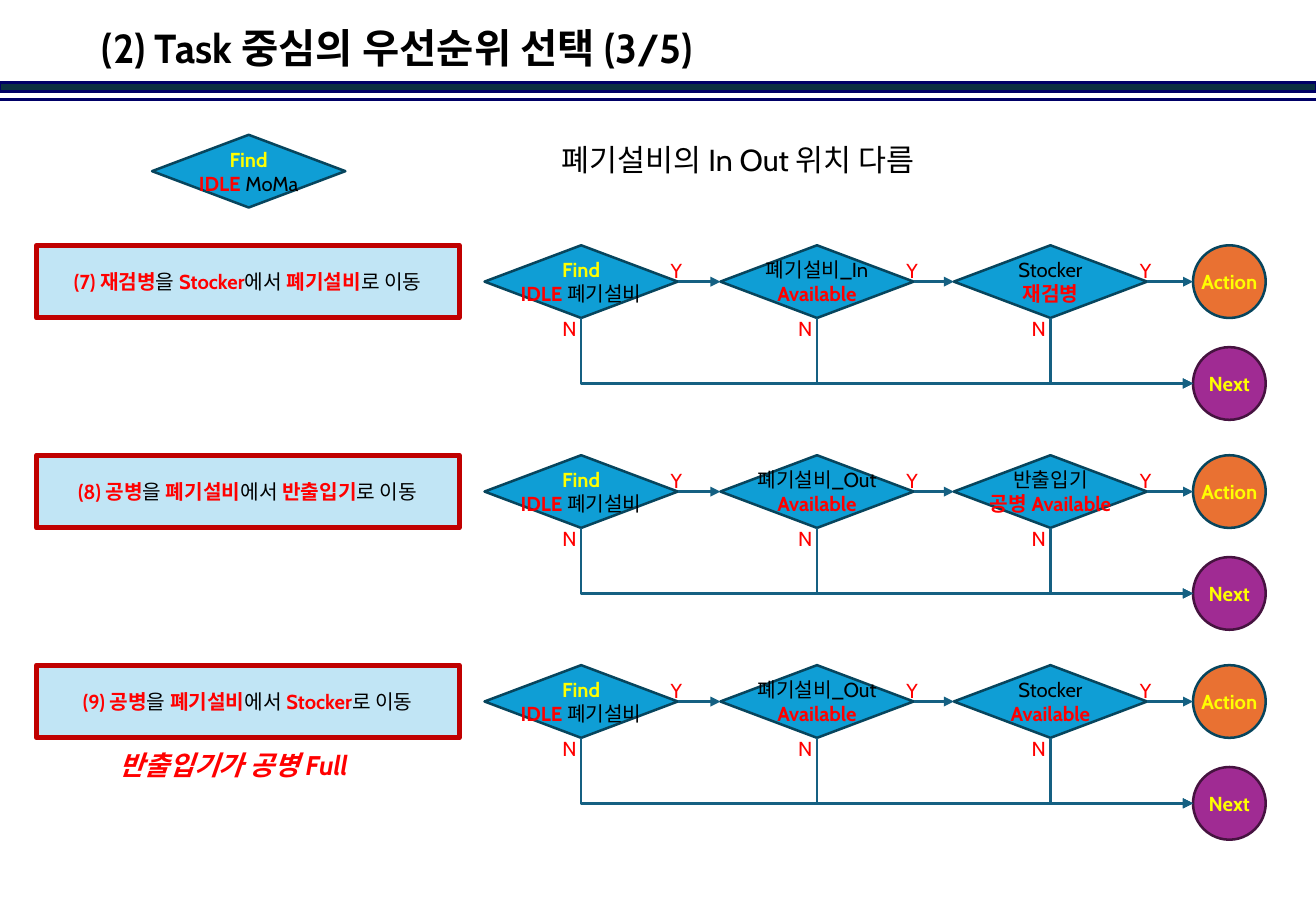
import pptx
import pptx.dml.color
import pptx.enum.shapes
import pptx.enum.text
import pptx.oxml
import pptx.oxml.ns
import pptx.util

Cm = pptx.util.Cm
Pt = pptx.util.Pt
RGBColor = pptx.dml.color.RGBColor
Shape = pptx.enum.shapes.MSO_SHAPE
Connector = pptx.enum.shapes.MSO_CONNECTOR
Anchor = pptx.enum.text.MSO_ANCHOR
Align = pptx.enum.text.PP_ALIGN

BLACK = RGBColor(0x00, 0x00, 0x00)
RED = RGBColor(0xFF, 0x00, 0x00)
YELLOW = RGBColor(0xFF, 0xFF, 0x00)
NAVY = RGBColor(0x00, 0x00, 0x66)
DARK_TEAL = RGBColor(0x0B, 0x30, 0x41)
BLUE = RGBColor(0x0F, 0x9E, 0xD5)
BLUE_EDGE = RGBColor(0x07, 0x45, 0x5D)
PALE_BLUE = RGBColor(0xC1, 0xE5, 0xF5)
DARK_RED = RGBColor(0xC0, 0x00, 0x00)
ORANGE = RGBColor(0xE9, 0x71, 0x32)
PURPLE = RGBColor(0xA0, 0x2B, 0x93)
PURPLE_EDGE = RGBColor(0x46, 0x13, 0x40)
FLOW = RGBColor(0x15, 0x60, 0x82)

SLIDE_W, SLIDE_H = 27.51, 19.05
ROW_TOP, ROW_PITCH = 5.13, 4.39
STEP_H, DIAMOND_W = 1.52, 4.04
DIAMOND_LEFTS = (10.13, 15.06, 19.94)
RESULT_LEFT, NEXT_DROP = 24.94, 2.13
ELLIPSE_LEFT_SITE = 2

FIND_DISPOSAL = [[("Find", YELLOW, True)],
                 [("IDLE ", RED, True), ("폐기설비", BLACK, False)]]


def check(subject, condition):
    return [[(subject, BLACK, False)], [(condition, RED, True)]]


def move_task(number, item, origin, target):
    return [[(f"({number}) {item}", RED, True), ("을 ", BLACK, False),
             (origin, RED, True), ("에서 ", BLACK, False),
             (target, RED, True), ("로 이동", BLACK, False)]]


TASKS = [
    (move_task(7, "재검병", "Stocker", "폐기설비"),
     check("폐기설비_In", "Available"), check("Stocker", "재검병")),
    (move_task(8, "공병", "폐기설비", "반출입기"),
     check("폐기설비_Out", "Available"), check("반출입기", "공병 Available")),
    (move_task(9, "공병", "폐기설비", "Stocker"),
     check("폐기설비_Out", "Available"), check("Stocker", "Available")),
]


class FlowSlide:
    font = "Cabin"
    size = 12
    line_width = 1.5

    def __init__(self, slide):
        self.shapes = slide.shapes

    def add_lines(self, frame, lines, size=None, italic=False, align=Align.CENTER):
        """Fill the frame with one paragraph; each line is a list of (text, colour, bold)."""
        frame.word_wrap = False
        paragraph = frame.paragraphs[0]
        paragraph.alignment = align
        for index, line in enumerate(lines):
            if index:
                paragraph.add_line_break()
            for text, colour, bold in line:
                run = paragraph.add_run()
                run.text = text
                run.font.name = self.font
                run.font.size = Pt(size or self.size)
                run.font.bold = bold
                run.font.italic = italic
                run.font.color.rgb = colour
        return paragraph

    def block(self, kind, left, top, width, height, fill, edge, lines=(), weight=None):
        block = self.shapes.add_shape(kind, Cm(left), Cm(top), Cm(width), Cm(height))
        block.shadow.inherit = False
        block.fill.solid()
        block.fill.fore_color.rgb = fill
        block.line.color.rgb = edge
        block.line.width = Pt(weight or self.line_width)
        block.text_frame.vertical_anchor = Anchor.MIDDLE
        self.add_lines(block.text_frame, lines)
        return block

    def diamond(self, left, top, lines):
        return self.block(Shape.DIAMOND, left, top, DIAMOND_W, STEP_H, BLUE, BLUE_EDGE, lines)

    def result(self, top, word, fill, edge):
        return self.block(Shape.OVAL, RESULT_LEFT, top, STEP_H, STEP_H, fill, edge,
                          [[(word, YELLOW, True)]])

    def label(self, left, top, width, height, text, colour=RED, size=None, bold=False, italic=False):
        label = self.shapes.add_textbox(Cm(left), Cm(top), Cm(width), Cm(height))
        self.add_lines(label.text_frame, [[(text, colour, bold)]], size, italic)
        label.text_frame.auto_size = pptx.enum.text.MSO_AUTO_SIZE.SHAPE_TO_FIT_TEXT

    def title(self, left, top, width, height, text):
        title = self.shapes.add_textbox(Cm(left), Cm(top), Cm(width), Cm(height))
        title.text_frame.vertical_anchor = Anchor.MIDDLE
        paragraph = self.add_lines(title.text_frame, [[(text, BLACK, True)]], 24, align=Align.LEFT)
        paragraph.line_spacing = 0.9
        title.text_frame.word_wrap = True

    def line(self, kind, begin, end, colour):
        line = self.shapes.add_connector(kind, *begin, *end)
        line.line.color.rgb = colour
        line.line.width = Pt(self.line_width)
        line._element.spPr.append(pptx.oxml.parse_xml(
            f'<a:effectLst {pptx.oxml.ns.nsdecls("a")}/>'))
        return line

    def arrow(self, kind, source, source_site, begin, target, target_site):
        """Join two blocks, ending at the middle of the target's left side."""
        end = (target.left, target.top + target.height // 2)
        arrow = self.line(kind, begin, end, FLOW)
        arrow.line._get_or_add_ln().append(pptx.oxml.parse_xml(
            f'<a:tailEnd {pptx.oxml.ns.nsdecls("a")} type="triangle"/>'))
        arrow.begin_connect(source, source_site)
        arrow.end_connect(target, target_site)
        arrow.end_x, arrow.end_y = end
        return arrow

    def yes_arrow(self, source, target, target_site):
        begin = (source.left + source.width, source.top + source.height // 2)
        self.arrow(Connector.STRAIGHT, source, 3, begin, target, target_site)

    def no_arrow(self, source, target):
        """Run down from the source, then right to the target circle."""
        begin = (source.left + source.width // 2, source.top + source.height)
        arrow = self.arrow(Connector.ELBOW, source, 2, begin, target, ELLIPSE_LEFT_SITE)
        run = target.left - begin[0]
        drop = target.top + target.height // 2 - begin[1]
        arrow.left = begin[0] + (run - drop) // 2
        arrow.top = begin[1] + (drop - run) // 2
        arrow.width, arrow.height = drop, run
        properties = arrow._element.spPr
        properties.prstGeom.set("prst", "bentConnector2")
        properties.xfrm.set("rot", "16200000")
        properties.xfrm.set("flipH", "1")

    def task_row(self, top, task, *later_checks):
        self.block(Shape.RECTANGLE, 0.76, top, 8.84, STEP_H, PALE_BLUE, DARK_RED, task, 3)
        checks = [self.diamond(left, top, lines)
                  for left, lines in zip(DIAMOND_LEFTS, (FIND_DISPOSAL, *later_checks))]
        action = self.result(top, "Action", ORANGE, BLUE_EDGE)
        following = self.result(top + NEXT_DROP, "Next", PURPLE, PURPLE_EDGE)
        for source, target in zip(checks, checks[1:]):
            self.yes_arrow(source, target, 1)
        self.yes_arrow(checks[-1], action, ELLIPSE_LEFT_SITE)
        for source in checks:
            self.no_arrow(source, following)
        for left in DIAMOND_LEFTS:
            self.label(left + DIAMOND_W - 0.4, top + 0.15, 0.74, 0.76, "Y")
            self.label(left + DIAMOND_W / 2 - 0.65, top + 1.36, 0.81, 0.76, "N")


def main():
    presentation = pptx.Presentation()
    presentation.slide_width = Cm(SLIDE_W)
    presentation.slide_height = Cm(SLIDE_H)
    flow = FlowSlide(presentation.slides.add_slide(presentation.slide_layouts[6]))

    flow.block(Shape.RECTANGLE, 0, 1.73, SLIDE_W, 0.18, DARK_TEAL, NAVY)
    flow.line(Connector.STRAIGHT, (Cm(0), Cm(2.08)), (Cm(SLIDE_W), Cm(2.08)), NAVY)
    flow.title(1.88, 0.38, 23.75, 1.35, "(2) Task 중심의 우선순위 선택 (3/5)")
    flow.diamond(3.18, 2.82, [[("Find", YELLOW, True)],
                              [("IDLE ", RED, True), ("MoMa", BLACK, False)]])
    for index, task in enumerate(TASKS):
        flow.task_row(ROW_TOP + index * ROW_PITCH, *task)
    flow.label(11.25, 2.82, 8.36, 1.02, "폐기설비의 In Out 위치 다름", BLACK, 18)
    flow.label(2.03, 15.52, 5.72, 0.94, "반출입기가 공병 Full", size=16, bold=True, italic=True)

    presentation.save("out.pptx")


if __name__ == "__main__":
    main()
